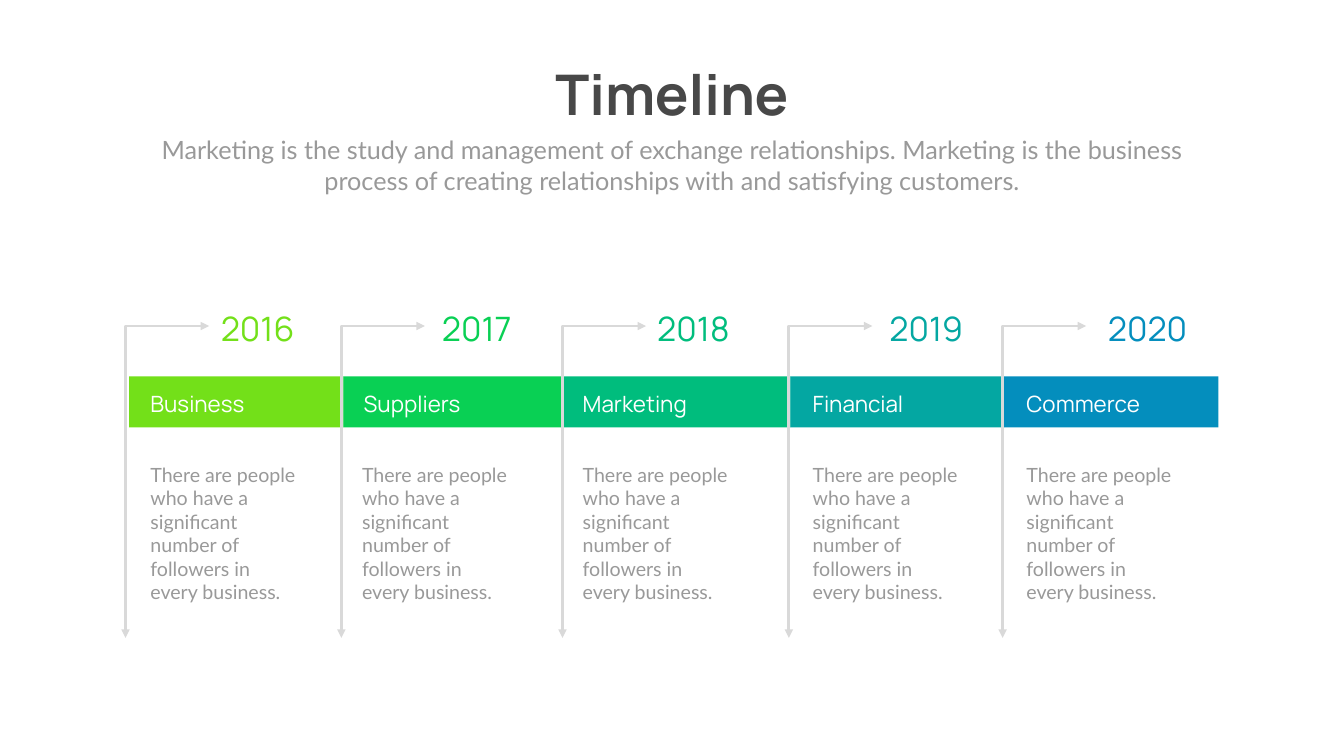
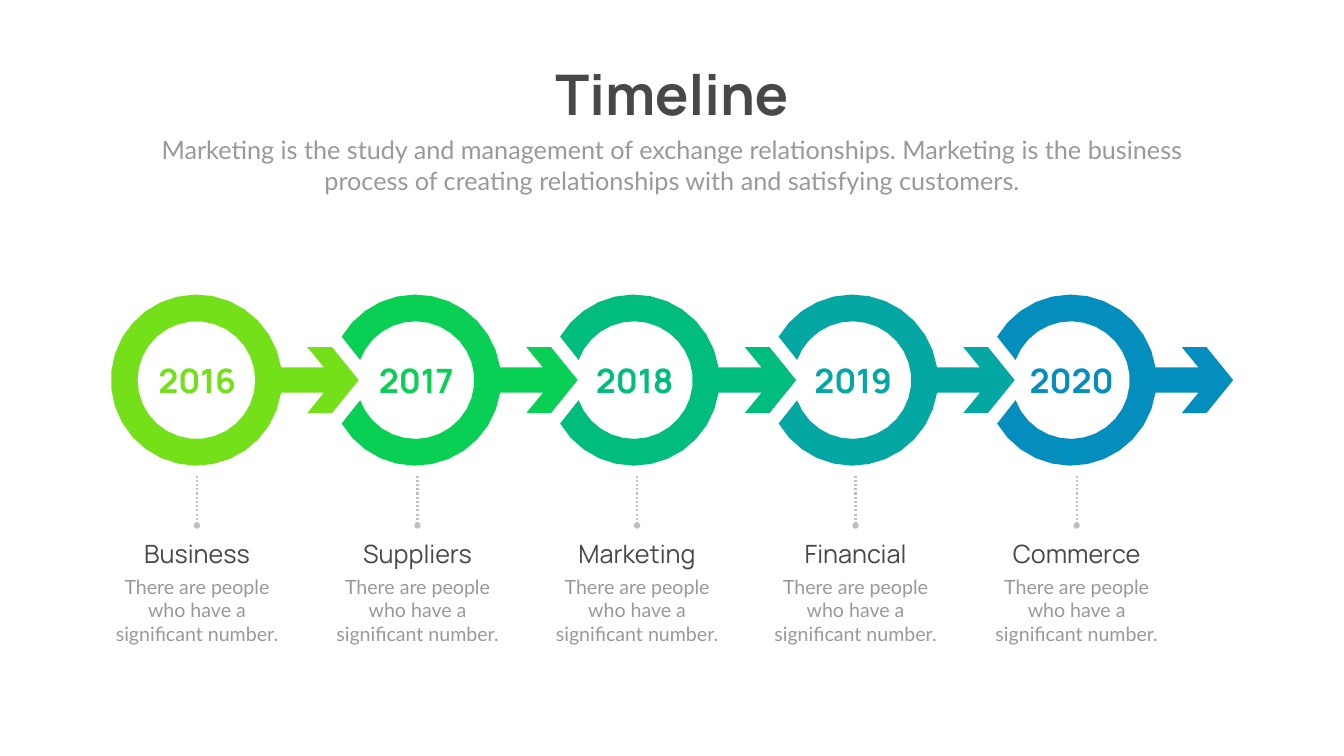
from math import asin, cos, degrees, radians, sin

from lxml.etree import SubElement
from pptx import Presentation
from pptx.dml.color import RGBColor
from pptx.enum.dml import MSO_LINE
from pptx.enum.shapes import MSO_CONNECTOR, MSO_SHAPE
from pptx.enum.text import MSO_ANCHOR, MSO_AUTO_SIZE, PP_ALIGN
from pptx.oxml.ns import qn
from pptx.util import Pt

PX = 9525  # EMU per px, 96 px to the inch

DARK = RGBColor(0x48, 0x48, 0x48)
GREY = RGBColor(0x99, 0x99, 0x99)
DOT_GREY = RGBColor(0xBF, 0xBF, 0xBF)
ARROW_GREY = RGBColor(0xD9, 0xD9, 0xD9)
WHITE = RGBColor(0xFF, 0xFF, 0xFF)
LIME = RGBColor(0x73, 0xE0, 0x19)
GREEN = RGBColor(0x09, 0xD0, 0x54)
EMERALD = RGBColor(0x00, 0xBD, 0x7D)
TEAL = RGBColor(0x04, 0xA7, 0xA2)
BLUE = RGBColor(0x04, 0x8E, 0xBD)

HEAD_FONT = "Manrope"
BODY_FONT = "Lato"
STEPS = [
    ("2016", "Business", LIME),
    ("2017", "Suppliers", GREEN),
    ("2018", "Marketing", EMERALD),
    ("2019", "Financial", TEAL),
    ("2020", "Commerce", BLUE),
]
SUBTITLE = (
    "Marketing is the study and management of exchange relationships. "
    "Marketing is the business process of creating relationships with "
    "and satisfying customers."
)


def place_text(page, frame, text, font, size, color, bold=False,
               align=PP_ALIGN.LEFT, wrap=True, box=None):
    """Write one formatted run in a new text box, or in the given box."""
    box = box or page.shapes.add_textbox(0, 0, 0, 0)
    box.left, box.top, box.width, box.height = [value * PX for value in frame]
    text_frame = box.text_frame
    text_frame.word_wrap = wrap
    text_frame.auto_size = MSO_AUTO_SIZE.SHAPE_TO_FIT_TEXT
    text_frame.vertical_anchor = MSO_ANCHOR.MIDDLE
    para = text_frame.paragraphs[0]
    para.alignment = align
    span = para.add_run()
    span.text = text
    span.font.name = font
    span.font.size = Pt(size)
    span.font.bold = bold
    span.font.color.rgb = color


def arc(center_x, center_y, radius, start, stop, step=12):
    """Points in px on a circle, with angles in degrees, clockwise from the right."""
    count = round(abs(stop - start) / step)
    angles = [radians(start + (stop - start) * i / count) for i in range(count + 1)]
    return [(center_x + radius * cos(a), center_y + radius * sin(a)) for a in angles]


deck = Presentation()
deck.slide_width = 2559 * PX
deck.slide_height = 1440 * PX

pages = []
for _ in range(2):
    page = deck.slides.add_slide(deck.slide_layouts[5])
    page.background.fill.solid()
    page.background.fill.fore_color.rgb = WHITE
    place_text(page, (1031, 108, 497, 139), "Timeline", HEAD_FONT, 80, DARK, bold=True,
               align=PP_ALIGN.CENTER, wrap=False, box=page.shapes.title)
    place_text(page, (280, 251, 1999, 126), SUBTITLE, BODY_FONT, 36, GREY,
               align=PP_ALIGN.CENTER)
    pages.append(page)
band_page, ring_page = pages

# Slide 1: coloured band with bent arrows
BAND_EDGES = [246, 654, 1073, 1505, 1912, 2320]
BAND_TOP, BAND_HEIGHT = 717, 97
ARROW_LEFTS = [239, 650, 1071, 1502, 1909]
ARROW_TOP, ARROW_BOTTOM, ARROW_REACH = 621, 1215, 159
HEADING_LEFTS = [277, 683, 1100, 1538, 1945]
DETAIL_LEFTS = [277, 680, 1100, 1538, 1945]
YEAR_LEFTS = [411, 832, 1242, 1684, 2100]
YEAR_WIDTH, YEAR_HEIGHT = 193, 87

for (year, heading, color), left, right in zip(STEPS, BAND_EDGES, BAND_EDGES[1:]):
    band = band_page.shapes.add_shape(
        MSO_SHAPE.RECTANGLE, left * PX, BAND_TOP * PX, (right - left) * PX, BAND_HEIGHT * PX)
    band.shadow.inherit = False
    band.fill.solid()
    band.fill.fore_color.rgb = color
    band.line.fill.background()

for left in ARROW_LEFTS:
    builder = band_page.shapes.build_freeform(left * PX, ARROW_BOTTOM * PX)
    builder.add_line_segments(
        [(left * PX, ARROW_TOP * PX), ((left + ARROW_REACH) * PX, ARROW_TOP * PX)], close=False)
    bent_arrow = builder.convert_to_shape()
    bent_arrow.shadow.inherit = False
    bent_arrow.fill.background()
    bent_arrow.line.color.rgb = ARROW_GREY
    bent_arrow.line.width = Pt(4)
    outline = bent_arrow._element.spPr.find(qn("a:ln"))
    for end in ("a:headEnd", "a:tailEnd"):
        SubElement(outline, qn(end), type="triangle")

for (year, heading, color), heading_left, detail_left, year_left in zip(
        STEPS, HEADING_LEFTS, DETAIL_LEFTS, YEAR_LEFTS):
    place_text(band_page, (heading_left, 739, 359, 61), heading, HEAD_FONT, 32, WHITE)
    place_text(band_page, (detail_left, 875, 305, 281),
               "There are people who have a significant number of followers in every business.",
               BODY_FONT, 28, GREY)
    place_text(band_page, (year_left, 582, YEAR_WIDTH, YEAR_HEIGHT), year, HEAD_FONT, 48, color)

# Slide 2: rings, each with an arrow that points into the next
RING_CENTERS = [374, 791, 1207, 1623, 2039]
RING_Y, OUTER, INNER = 724, 163, 112
SHAFT = 24
JOIN = degrees(asin(SHAFT / OUTER))
OUTER_GAP, INNER_GAP = 30.5, 20  # half angles of the opening on the left
ARROW = [(243, -SHAFT), (211, -63), (258, -63), (309, 0), (258, 63), (211, 63), (243, SHAFT)]
LABEL_LEFTS = [211, 631, 1049, 1465, 1886]
LABEL_WIDTH = 328
DOTS_TOP, DOTS_BOTTOM = 906, 1001

# The last ring goes first, so that each arrow tip lies over the next ring
for (year, heading, color), x in reversed(list(zip(STEPS, RING_CENTERS))):
    arrow = [(x + dx, RING_Y + dy) for dx, dy in ARROW]
    if x == RING_CENTERS[0]:
        contours = [arc(x, RING_Y, OUTER, JOIN, 360 - JOIN) + arrow,
                    arc(x, RING_Y, INNER, 360, 0)]
    else:
        contours = [arc(x, RING_Y, OUTER, JOIN, 180 - OUTER_GAP)
                    + arc(x, RING_Y, INNER, 180 - INNER_GAP, INNER_GAP - 180)
                    + arc(x, RING_Y, OUTER, 180 + OUTER_GAP, 360 - JOIN)
                    + arrow]
    outlines = [[(px * PX, py * PX) for px, py in contour] for contour in contours]
    builder = ring_page.shapes.build_freeform(*outlines[0][0])
    builder.add_line_segments(outlines[0][1:])
    for hole in outlines[1:]:
        builder.move_to(*hole[0])
        builder.add_line_segments(hole[1:])
    ring = builder.convert_to_shape()
    ring.shadow.inherit = False
    ring.fill.solid()
    ring.fill.fore_color.rgb = color
    ring.line.fill.background()

for (year, heading, color), x in zip(STEPS, RING_CENTERS):
    place_text(ring_page, (x - 95, 680, YEAR_WIDTH, YEAR_HEIGHT), year, HEAD_FONT, 48, color,
               bold=True, align=PP_ALIGN.CENTER)

for (year, heading, color), left in zip(STEPS, LABEL_LEFTS):
    dots_x = (left + LABEL_WIDTH // 2) * PX
    dots = ring_page.shapes.add_connector(
        MSO_CONNECTOR.STRAIGHT, dots_x, DOTS_TOP * PX, dots_x, DOTS_BOTTOM * PX)
    dots.line.color.rgb = DOT_GREY
    dots.line.width = Pt(3)
    dots.line.dash_style = MSO_LINE.ROUND_DOT
    properties = dots._element.spPr
    SubElement(properties.find(qn("a:ln")), qn("a:tailEnd"), type="oval")
    SubElement(properties, qn("a:effectLst"))
    place_text(ring_page, (left, 1021, LABEL_WIDTH, 68), heading, HEAD_FONT, 36, DARK,
               align=PP_ALIGN.CENTER)
    place_text(ring_page, (left, 1089, LABEL_WIDTH, 145),
               "There are people who have a significant number.", BODY_FONT, 28, GREY,
               align=PP_ALIGN.CENTER)

deck.save("out.pptx")
